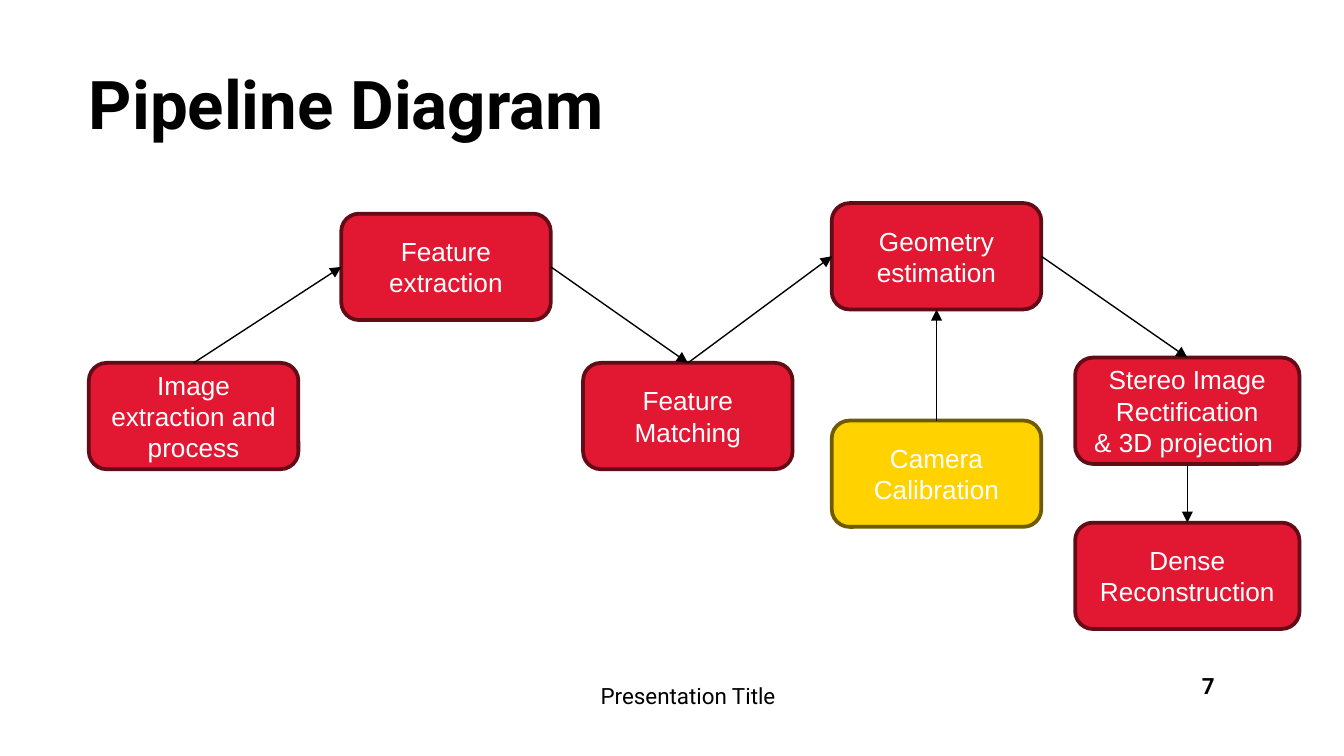
from typing import NamedTuple

from lxml.etree import SubElement
from pptx import Presentation
from pptx.dml.color import RGBColor
from pptx.enum.shapes import MSO_CONNECTOR as Link, MSO_SHAPE as Shape
from pptx.enum.text import MSO_ANCHOR as Anchor, MSO_AUTO_SIZE as Fit, PP_ALIGN as Align
from pptx.oxml.ns import qn
from pptx.util import Cm, Pt

COLORS = {
    "black": "000000", "white": "FFFFFF",
    "red": "E21833", "maroon": "630B16",
    "gold": "FFD200", "olive": "705C00",
}
TOP, LEFT, BOTTOM, RIGHT = range(4)
HIGH = 2.01
WIDE = 3.96
BROAD = 4.24


class Step(NamedTuple):
    name: str
    text: str
    left: float
    top: float
    width: float = WIDE
    fill: str = "red"
    edge: str = "maroon"


class Arrow(NamedTuple):
    start: str
    exit: int
    end: str
    entry: int


STEPS = [
    Step("image", "Image extraction and process", 1.68, 6.86),
    Step("feature", "Feature extraction", 6.45, 4.04),
    Step("match", "Feature Matching", 11.02, 6.86),
    Step("geometry", "Geometry estimation", 15.72, 3.84),
    Step("stereo", "Stereo Image Rectification\n& 3D projection ", 20.32, 6.76, BROAD),
    Step("camera", "Camera Calibration", 15.72, 7.95, fill="gold", edge="olive"),
    Step("dense", "Dense Reconstruction", 20.32, 9.88, BROAD),
]
ARROWS = [
    Arrow("image", TOP, "feature", LEFT),
    Arrow("feature", RIGHT, "match", TOP),
    Arrow("match", TOP, "geometry", LEFT),
    Arrow("geometry", RIGHT, "stereo", TOP),
    Arrow("camera", TOP, "geometry", BOTTOM),
    Arrow("stereo", BOTTOM, "dense", TOP),
]


def rgb(name: str) -> RGBColor:
    return RGBColor.from_string(COLORS[name])


def write(shape, text: str, *, size: float, font: str = "Roboto", color: str = "black",
          bold: bool = False, align=Align.LEFT, anchor=Anchor.MIDDLE,
          inset: tuple = (0, 0), spacing: float = 1.0, after: float = 0) -> None:
    """Fill a shape with text; inset is the side and the top margin in cm."""
    frame = shape.text_frame
    frame.word_wrap = True
    frame.auto_size = Fit.NONE
    frame.vertical_anchor = anchor
    frame.margin_left = frame.margin_right = Cm(inset[0])
    frame.margin_top = frame.margin_bottom = Cm(inset[1])
    frame.text = text
    for para in frame.paragraphs:
        para.alignment = align
        para.line_spacing = spacing
        para.space_before = Pt(0)
        para.space_after = Pt(after)
        for run in para.runs:
            run.font.name = font
            run.font.size = Pt(size)
            run.font.bold = bold
            run.font.color.rgb = rgb(color)


def place(shape, left: float, top: float, width: float, height: float) -> None:
    shape.left, shape.top = Cm(left), Cm(top)
    shape.width, shape.height = Cm(width), Cm(height)


def draw_step(slide, step: Step):
    box = slide.shapes.add_shape(Shape.ROUNDED_RECTANGLE, Cm(step.left), Cm(step.top),
                                 Cm(step.width), Cm(HIGH))
    box.shadow.inherit = False
    box.fill.solid()
    box.fill.fore_color.rgb = rgb(step.fill)
    box.line.color.rgb = rgb(step.edge)
    box.line.width = Pt(2)
    write(box, step.text, size=14, font="Arial", color="white",
          align=Align.CENTER, inset=(0.25, 0.13))
    return box


def draw_arrow(slide, arrow: Arrow, boxes: dict) -> None:
    line = slide.shapes.add_connector(Link.STRAIGHT, 0, 0, 0, 0)
    line.begin_connect(boxes[arrow.start], arrow.exit)
    line.end_connect(boxes[arrow.end], arrow.entry)
    line.line.color.rgb = rgb("black")
    line.line.width = Pt(0.75)
    SubElement(line.line._get_or_add_ln(), qn("a:tailEnd"), type="triangle")
    SubElement(line._element.spPr, qn("a:effectLst"))


def main() -> None:
    deck = Presentation()
    deck.slide_width, deck.slide_height = Cm(25.4), Cm(14.29)
    slide = deck.slides.add_slide(deck.slide_layouts[0])

    title, footer = slide.placeholders
    place(title, 1.68, 1.07, 23.29, 1.73)
    write(title, "Pipeline Diagram", size=36, bold=True)
    place(footer, 11.35, 12.85, 9.8, 0.53)
    write(footer, "Presentation Title", size=12, spacing=1.15, after=16)
    number = slide.shapes.add_textbox(Cm(21.69), Cm(12.45), Cm(1.52), Cm(1.09))
    write(number, "7", size=12, bold=True, align=Align.RIGHT,
          anchor=Anchor.TOP, inset=(0.25, 0.25))

    boxes = {step.name: draw_step(slide, step) for step in STEPS}
    for arrow in ARROWS:
        draw_arrow(slide, arrow, boxes)
    deck.save("out.pptx")


if __name__ == "__main__":
    main()
